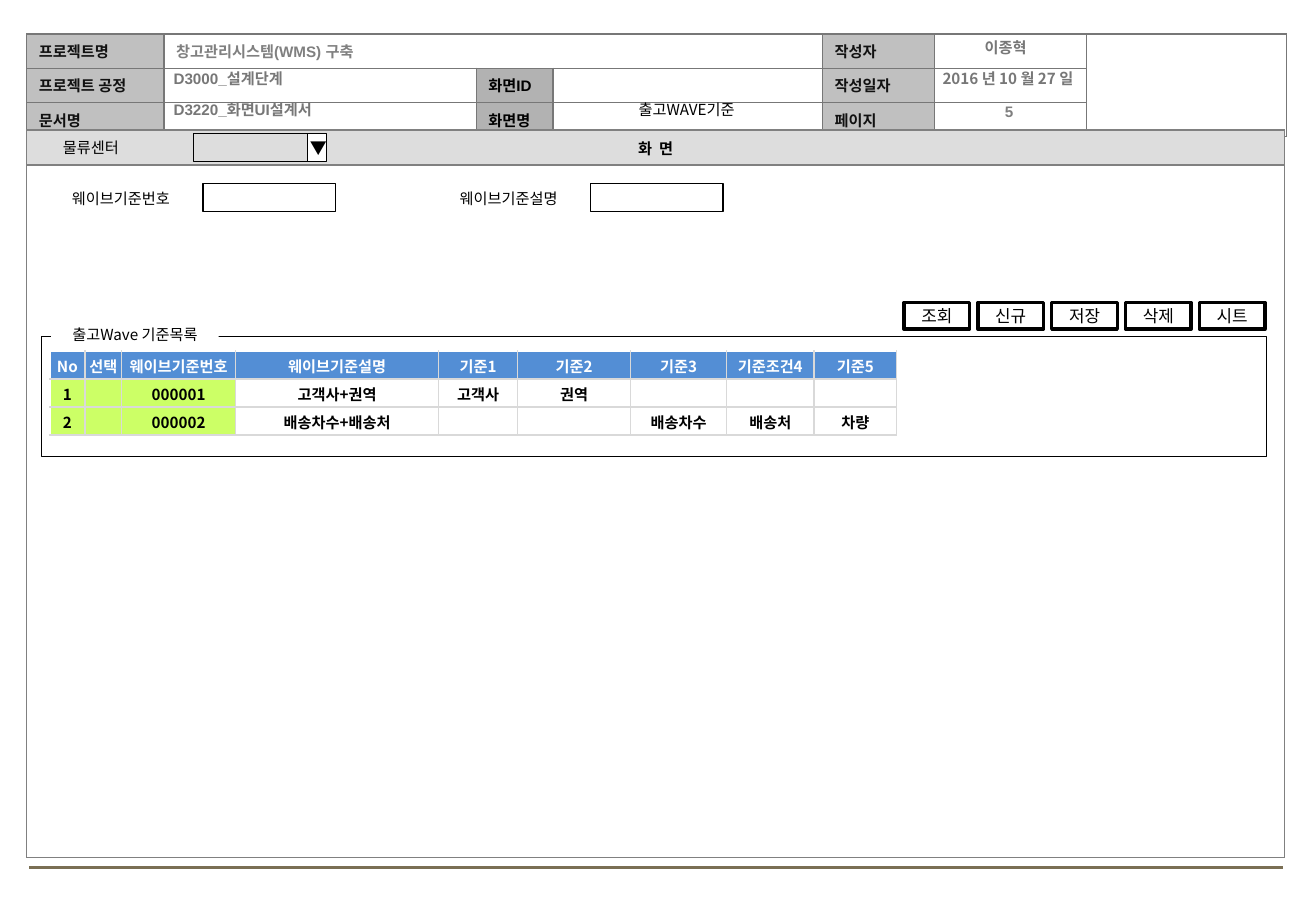
from dataclasses import dataclass
from typing import Optional

import pptx
import pptx.dml.color
import pptx.enum.shapes
import pptx.enum.text
import pptx.oxml
import pptx.oxml.ns
import pptx.util

COLUMNS, ROWS = 1083, 750
SLIDE_WIDTH, SLIDE_HEIGHT = pptx.util.Inches(10.83), pptx.util.Inches(7.5)
CENTER = pptx.enum.text.PP_ALIGN.CENTER
LEFT = pptx.enum.text.PP_ALIGN.LEFT
MIDDLE = pptx.enum.text.MSO_ANCHOR.MIDDLE
RECTANGLE = pptx.enum.shapes.MSO_SHAPE.RECTANGLE


@dataclass(frozen=True)
class Theme:
    latin: str = "Arial"
    korean: str = "Noto Sans CJK KR"
    text_size: float = 9
    button_size: float = 10
    ink: str = "000000"
    paper: str = "FFFFFF"
    label_ink: str = "111111"
    muted_ink: str = "777777"
    project_ink: str = "808080"
    page_ink: str = "7F7F7F"
    label_fill: str = "C0C0C0"
    screen_fill: str = "B2B2B2"
    title_fill: str = "DDDDDD"
    form_rule: str = "777777"
    body_rule: str = "808080"
    list_rule: str = "D9D9D9"
    list_head: str = "538ED5"
    list_key: str = "CCFF66"
    footer_rule: str = "7A6F54"


THEME = Theme()


@dataclass(frozen=True)
class Style:
    font: str = THEME.korean
    ink: str = THEME.ink
    size: float = THEME.text_size
    bold: bool = False
    align: pptx.enum.text.PP_ALIGN = CENTER


@dataclass(frozen=True)
class Cell:
    text: str = ""
    fill: Optional[str] = None
    style: Style = Style()
    span: tuple[int, int] = (1, 1)


@dataclass(frozen=True)
class Grid:
    left: float
    top: float
    widths: list[int]
    heights: list[int]
    cells: list[list[Cell]]
    rule: str
    margins: tuple[float, float, float, float]
    open_corner: bool = False


@dataclass(frozen=True)
class Label:
    text: str
    left: float
    top: float
    width: float
    style: Style = Style()
    fill: Optional[str] = None


@dataclass(frozen=True)
class Box:
    left: float
    top: float
    width: float
    height: float
    text: str = ""
    fill: Optional[str] = THEME.paper
    line: float = 0.75
    align: pptx.enum.text.PP_ALIGN = CENTER


def x(columns: float) -> int:
    return round(SLIDE_WIDTH * columns / COLUMNS)


def y(rows: float) -> int:
    return round(SLIDE_HEIGHT * rows / ROWS)


def rgb(color: str) -> pptx.dml.color.RGBColor:
    return pptx.dml.color.RGBColor.from_string(color)


def paint(fill, color: Optional[str]) -> None:
    if color:
        fill.solid()
        fill.fore_color.rgb = rgb(color)
    else:
        fill.background()


def write(frame, text: str, style: Style) -> None:
    paragraph = frame.paragraphs[0]
    if text:
        paragraph.add_run().text = text
    paragraph.alignment = style.align
    font = paragraph.font
    font.name, font.size, font.bold = style.font, pptx.util.Pt(style.size), style.bold
    font.color.rgb = rgb(style.ink)
    latin = paragraph._p.find(".//" + pptx.oxml.ns.qn("a:latin"))
    latin.addnext(pptx.oxml.parse_xml(
        f'<a:ea {pptx.oxml.ns.nsdecls("a")} typeface="{THEME.korean}"/>'))


def set_margins(target, margins: tuple[float, float, float, float]) -> None:
    target.margin_left, target.margin_right = x(margins[0]), x(margins[2])
    target.margin_top, target.margin_bottom = y(margins[1]), y(margins[3])


def rule_cell(cell, color: str, sides: str) -> None:
    properties = cell._tc.get_or_add_tcPr()
    for place, side in enumerate(sides):
        properties.insert(place, pptx.oxml.parse_xml(
            f'<a:ln{side} {pptx.oxml.ns.nsdecls("a")} w="12700"><a:solidFill>'
            f'<a:srgbClr val="{color}"/></a:solidFill></a:ln{side}>'))


def draw_grid(shapes, grid: Grid) -> None:
    table = shapes.add_table(len(grid.heights), len(grid.widths), x(grid.left), y(grid.top),
                             x(sum(grid.widths)), y(sum(grid.heights))).table
    table.first_row = table.horz_banding = False
    for column, width in zip(table.columns, grid.widths):
        column.width = x(width)
    for row, height in zip(table.rows, grid.heights):
        row.height = y(height)
    for r, row_cells in enumerate(grid.cells):
        for c, entry in enumerate(row_cells):
            cell = table.cell(r, c)
            set_margins(cell, grid.margins)
            cell.vertical_anchor = MIDDLE
            paint(cell.fill, entry.fill)
            write(cell.text_frame, entry.text, entry.style)
            sides = "LRTB"
            if grid.open_corner:
                sides = ("" if c == 0 else "L") + "R" + ("" if r == 0 else "T") + "B"
            rule_cell(cell, grid.rule, sides)
            if entry.span != (1, 1):
                cell.merge(table.cell(r + entry.span[0] - 1, c + entry.span[1] - 1))


def draw_label(shapes, label: Label) -> None:
    box = shapes.add_textbox(x(label.left), y(label.top), x(label.width), y(25))
    box.text_frame.word_wrap = True
    paint(box.fill, label.fill)
    write(box.text_frame, label.text, label.style)


def draw_box(shapes, box: Box) -> None:
    shape = shapes.add_shape(RECTANGLE, x(box.left), y(box.top), x(box.width), y(box.height))
    shape.shadow.inherit = False
    paint(shape.fill, box.fill)
    shape.line.color.rgb, shape.line.width = rgb(THEME.ink), pptx.util.Pt(box.line)
    if box.text:
        frame = shape.text_frame
        frame.word_wrap, frame.vertical_anchor = False, MIDDLE
        set_margins(frame, (2, 4, 2, 4))
        write(frame, box.text, Style(size=THEME.button_size, align=box.align))


def draw_footer_rule(shapes) -> None:
    rule = shapes.add_connector(pptx.enum.shapes.MSO_CONNECTOR.STRAIGHT,
                                x(24), y(714), x(1056), y(714))
    rule.line.color.rgb, rule.line.width = rgb(THEME.footer_rule), pptx.util.Pt(1.75)
    rule._element.spPr.append(pptx.oxml.parse_xml(
        f'<a:effectLst {pptx.oxml.ns.nsdecls("a")}/>'))


def form_cell(text: str, ink: str = THEME.label_ink, fill: Optional[str] = THEME.label_fill,
              span: tuple[int, int] = (1, 1)) -> Cell:
    return Cell(text, fill, Style(THEME.latin, ink, bold=True, align=LEFT), span)


def form_row(document: str, screen: str, author: str) -> list[Cell]:
    return [form_cell(document), Cell(), form_cell(screen, THEME.ink, THEME.screen_fill),
            Cell(), form_cell(author), Cell(), Cell()]


def list_row(texts: list[str], ink: str, fills: list[Optional[str]]) -> list[Cell]:
    return [Cell(text, fill, Style(ink=ink, bold=True)) for text, fill in zip(texts, fills)]


KEY_FILLS = [THEME.list_key] * 3 + [None] * 6
FORM = Grid(22, 28, [113, 257, 63, 222, 92, 125, 165], [25] * 3, [
    [form_cell("프로젝트명"),
     form_cell("창고관리시스템(WMS) 구축", THEME.project_ink, None, (1, 3)),
     Cell(), Cell(), form_cell("작성자"), Cell(), Cell(span=(3, 1))],
    form_row("프로젝트 공정", "화면ID", "작성일자"),
    form_row("문서명", "화면명", "페이지")], THEME.form_rule, (10, 5, 10, 5))
SCREEN = Grid(22, 107, [1035], [29, 570], [
    [Cell("화  면", THEME.title_fill, Style(THEME.latin, bold=True))], [Cell()]],
    THEME.body_rule, (2, 0, 2, 0))
WAVE_LIST = Grid(41, 289, [29, 30, 94, 167, 65, 93, 79, 72, 68], [23] * 3, [
    list_row(["No", "선택", "웨이브기준번호", "웨이브기준설명", "기준1", "기준2", "기준3",
              "기준조건4", "기준5"], THEME.paper, [THEME.list_head] * 9),
    list_row(["1", "", "000001", "고객사+권역", "고객사", "권역", "", "", ""],
             THEME.ink, KEY_FILLS),
    list_row(["2", "", "000002", "배송차수+배송처", "", "", "배송차수", "배송처", "차량"],
             THEME.ink, KEY_FILLS)], THEME.list_rule, (1, 1, 1, 0), open_corner=True)

STAGE = Style(THEME.latin, THEME.muted_ink, bold=True, align=LEFT)
WRITER = Style(ink=THEME.muted_ink, bold=True)
BOXES = [Box(34, 277, 1008, 99, fill=None), Box(159, 110, 109, 23, fill=None),
         Box(253, 110, 16, 23, "▼", align=LEFT),
         Box(167, 151, 109, 23), Box(486, 151, 109, 23)]
BUTTONS = [Box(744 + 60.75 * place, 249, 54, 22, text, line=2)
           for place, text in enumerate(["조회", "신규", "저장", "삭제", "시트"])]
LABELS = [
    Label("D3000_설계단계", 133, 52, 542, STAGE),
    Label("D3220_화면UI설계서", 133, 78, 541, STAGE),
    Label("5", 768, 79, 125, Style(THEME.latin, THEME.page_ink, bold=True)),
    Label("출고WAVE기준", 456, 78, 218),
    Label("2016 년 10 월 27 일", 751, 52, 157, WRITER),
    Label("이종혁", 749, 27, 157, WRITER),
    Label("출고Wave 기준목록", 42, 263, 138, fill=THEME.paper),
    Label("물류센터", 42, 109, 117, Style(align=LEFT)),
    Label("웨이브기준번호", 38, 151, 123),
    Label("웨이브기준설명", 357, 151, 123)]


def main() -> None:
    deck = pptx.Presentation()
    deck.slide_width, deck.slide_height = SLIDE_WIDTH, SLIDE_HEIGHT
    shapes = deck.slides.add_slide(deck.slide_layouts[6]).shapes
    draw_footer_rule(shapes)
    for grid in (FORM, SCREEN, WAVE_LIST):
        draw_grid(shapes, grid)
    for box in BOXES + BUTTONS:
        draw_box(shapes, box)
    for label in LABELS:
        draw_label(shapes, label)
    deck.save("out.pptx")


if __name__ == "__main__":
    main()
